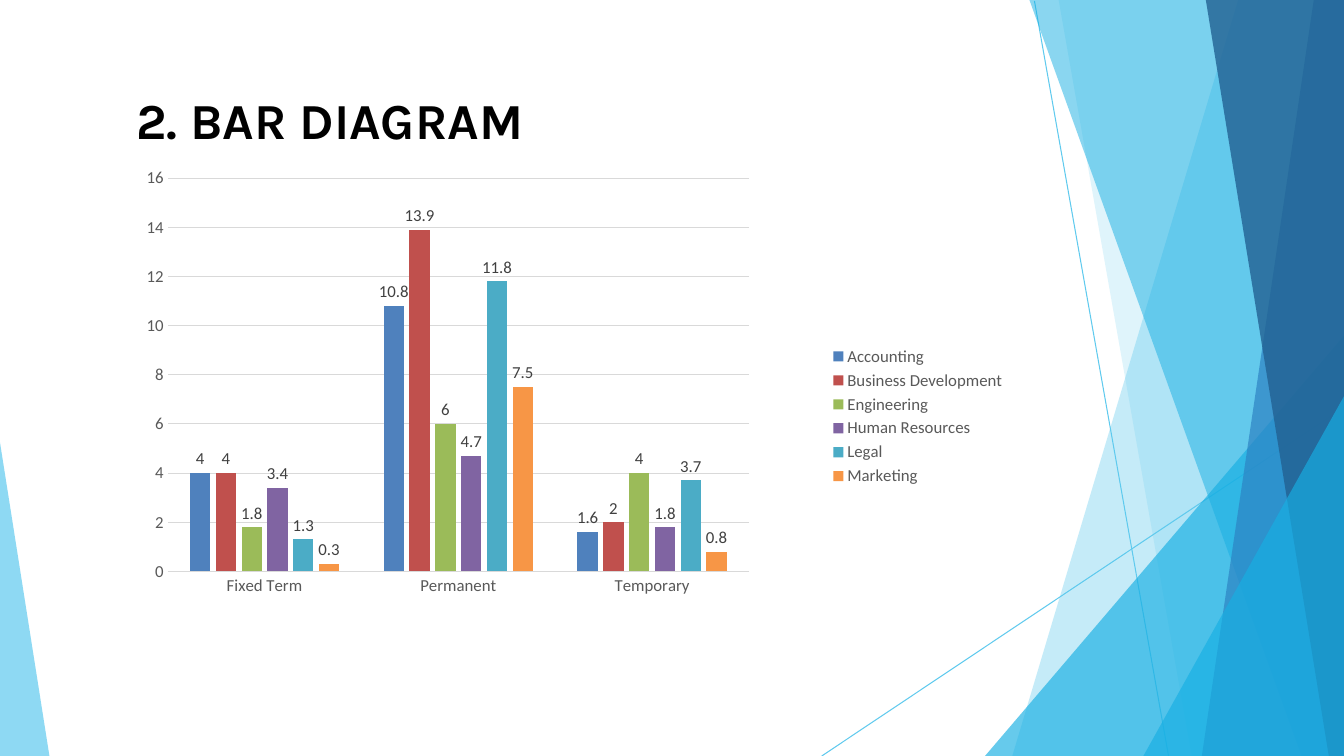
from dataclasses import dataclass

from lxml import etree
from pptx import Presentation
from pptx import util as u
from pptx.chart import data as chart_data
from pptx.dml.color import RGBColor
from pptx.enum import chart as charts, shapes, text
from pptx.oxml import ns


@dataclass(frozen=True)
class Theme:
    """Colours, fonts and type sizes of the deck."""
    sky: str = "5FCAEE"
    cyan: str = "17AFE3"
    blue: str = "2D83C3"
    navy: str = "226192"
    title: str = "000000"
    axis: str = "595959"
    label: str = "404040"
    rule: str = "D9D9D9"
    bars: tuple = ("4F81BD", "C0504D", "9BBB59", "8064A2", "4BACC6", "F79646")
    title_font: str = "Karla"
    chart_font: str = "Calibri"
    title_size: float = 36
    chart_size: float = 12
    hairline: float = 0.75


THEME = Theme()
WIDTH, HEIGHT = 13.33, 7.5
CONTRACTS = ("Fixed Term", "Permanent", "Temporary")
DEPARTMENTS = {
    "Accounting": (4, 10.8, 1.6),
    "Business Development": (4, 13.9, 2),
    "Engineering": (1.8, 6, 4),
    "Human Resources": (3.4, 4.7, 1.8),
    "Legal": (1.3, 11.8, 3.7),
    "Marketing": (0.3, 7.5, 0.8),
}
PLOT = {"x": 0.114, "y": 0.101, "w": 0.607, "h": 0.659}


def assign(target, **values):
    """Set each named attribute on the target."""
    for name, value in values.items():
        setattr(target, name, value)


def style_font(font, name, size, color, bold=False):
    """Give a font its face, size, colour and weight."""
    assign(font, name=name, size=u.Pt(size), bold=bold)
    font.color.rgb = RGBColor.from_string(color)


def style_line(line, color):
    """Draw a line as a thin rule."""
    line.width = u.Pt(THEME.hairline)
    line.color.rgb = RGBColor.from_string(color)


def add_ray(slide, start, end):
    """Draw one thin accent line."""
    ray = slide.shapes.add_connector(
        shapes.MSO_CONNECTOR.STRAIGHT, *(u.Inches(c) for c in (*start, *end)))
    style_line(ray.line, THEME.sky)
    etree.SubElement(ray._element.spPr, ns.qn("a:effectLst"))


def add_facet(slide, corners, color, opacity):
    """Draw one translucent polygon."""
    first, *rest = [(u.Inches(x), u.Inches(y)) for x, y in corners]
    builder = slide.shapes.build_freeform(*first)
    builder.add_line_segments(rest, close=True)
    facet = builder.convert_to_shape()
    facet.shadow.inherit = False
    facet.fill.solid()
    facet.fill.fore_color.rgb = RGBColor.from_string(color)
    facet.line.fill.background()
    tint = facet._element.spPr.find(".//" + ns.qn("a:srgbClr"))
    etree.SubElement(tint, ns.qn("a:alpha"), val=str(opacity * 1000))


def add_backdrop(slide, left, top, width, height):
    """Layer rays and facets along the sides of the box."""
    right, bottom = left + width, top + height

    def band(head, foot):
        """Return a facet from the top edge to the bottom edge."""
        return [(right, top), (left + head, top), (left + foot, bottom), (right, bottom)]

    def wedge(rise, foot):
        """Return a facet in the lower right corner."""
        return [(right, top + rise), (left + foot, bottom), (right, bottom)]

    add_ray(slide, (left + 10.26, top + 0.01), (left + 11.59, bottom))
    add_ray(slide, (right, top + 4.04), (left + 8.15, bottom))
    left_wedge = [(left, top + 4.39), (left, bottom), (left + 0.49, bottom)]
    for corners, color, opacity in (
        (band(12.28, 10.04), THEME.sky, 36),
        (band(10.5, 11.82), THEME.sky, 20),
        (wedge(3.33, 9.77), THEME.cyan, 66),
        (band(10.21, 12.91), THEME.cyan, 50),
        (band(13.03, 11.92), THEME.blue, 70),
        (band(11.96, 13.18), THEME.navy, 80),
        (wedge(3.93, 11.34), THEME.cyan, 66),
        (left_wedge, THEME.sky, 70),
    ):
        add_facet(slide, corners, color, opacity)


def add_heading(slide, left, top, width, height, wording):
    """Place the title placeholder and its wording."""
    heading = slide.shapes.title
    assign(heading, left=u.Inches(left), top=u.Inches(top),
           width=u.Inches(width), height=u.Inches(height))
    frame = heading.text_frame
    frame.text = wording
    assign(frame, word_wrap=True, auto_size=text.MSO_AUTO_SIZE.NONE,
           vertical_anchor=text.MSO_ANCHOR.TOP)
    line = frame.paragraphs[0]
    line.alignment = text.PP_ALIGN.LEFT
    style_font(line.runs[0].font, THEME.title_font, THEME.title_size, THEME.title, True)


def fix_plot_area(chart):
    """Pin the inner plot area to its share of the chart."""
    area = chart._chartSpace.find(".//" + ns.qn("c:plotArea"))
    for old in area.findall(ns.qn("c:layout")):
        area.remove(old)
    layout = etree.Element(ns.qn("c:layout"))
    area.insert(0, layout)
    manual = etree.SubElement(layout, ns.qn("c:manualLayout"))
    settings = {"layoutTarget": "inner", "xMode": "edge", "yMode": "edge", **PLOT}
    for tag, value in settings.items():
        etree.SubElement(manual, ns.qn("c:" + tag), val=str(value))


def style_axes(chart):
    """Format both axes and the gridlines."""
    for axis in (chart.category_axis, chart.value_axis):
        assign(axis, major_tick_mark=charts.XL_TICK_MARK.NONE,
               minor_tick_mark=charts.XL_TICK_MARK.NONE)
        style_font(axis.tick_labels.font, THEME.chart_font, THEME.chart_size, THEME.axis)
    style_line(chart.category_axis.format.line, THEME.rule)
    assign(chart.value_axis, minimum_scale=0, maximum_scale=16, major_unit=2,
           has_major_gridlines=True)
    chart.value_axis.format.line.fill.background()
    style_line(chart.value_axis.major_gridlines.format.line, THEME.rule)


def add_department_chart(slide, left, top, width, height):
    """Plot departments by contract as clustered columns."""
    figures = chart_data.CategoryChartData()
    figures.categories = CONTRACTS
    for department, values in DEPARTMENTS.items():
        figures.add_series(department, values)
    chart = slide.shapes.add_chart(
        charts.XL_CHART_TYPE.COLUMN_CLUSTERED,
        *(u.Inches(n) for n in (left, top, width, height)), figures).chart
    assign(chart, has_title=False, has_legend=True)
    style_font(chart.font, THEME.chart_font, THEME.chart_size, THEME.axis)
    assign(chart.legend, position=charts.XL_LEGEND_POSITION.RIGHT, include_in_layout=False)
    style_font(chart.legend.font, THEME.chart_font, THEME.chart_size, THEME.axis)
    style_axes(chart)
    columns = chart.plots[0]
    assign(columns, gap_width=219, overlap=-27, vary_by_categories=False)
    for department, color in zip(columns.series, THEME.bars):
        department.format.fill.solid()
        department.format.fill.fore_color.rgb = RGBColor.from_string(color)
        labels = department.data_labels
        assign(labels, show_value=True, position=charts.XL_LABEL_POSITION.OUTSIDE_END)
        style_font(labels.font, THEME.chart_font, THEME.chart_size, THEME.label)
    fix_plot_area(chart)


def main():
    """Build and save the slide."""
    deck = Presentation()
    assign(deck, slide_width=u.Inches(WIDTH), slide_height=u.Inches(HEIGHT))
    slide = deck.slides.add_slide(deck.slide_layouts.get_by_name("Title Only"))
    add_backdrop(slide, 0, 0, WIDTH, HEIGHT)
    add_heading(slide, 1.25, 0.83, 6.67, 0.71, "2. BAR DIAGRAM")
    add_department_chart(slide, 0.58, 1.17, 9.5, 5.92)
    deck.save("out.pptx")


if __name__ == "__main__":
    main()
